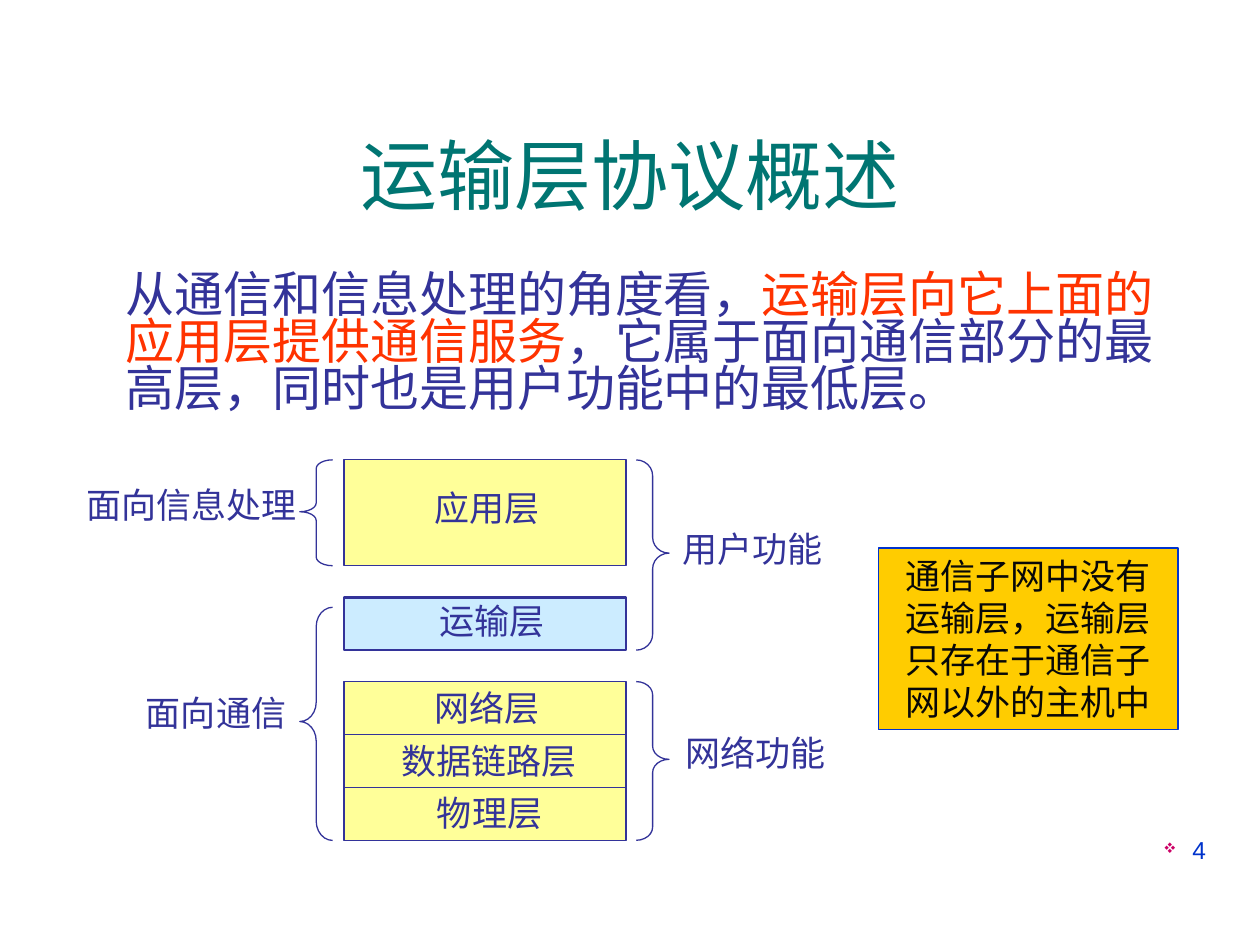
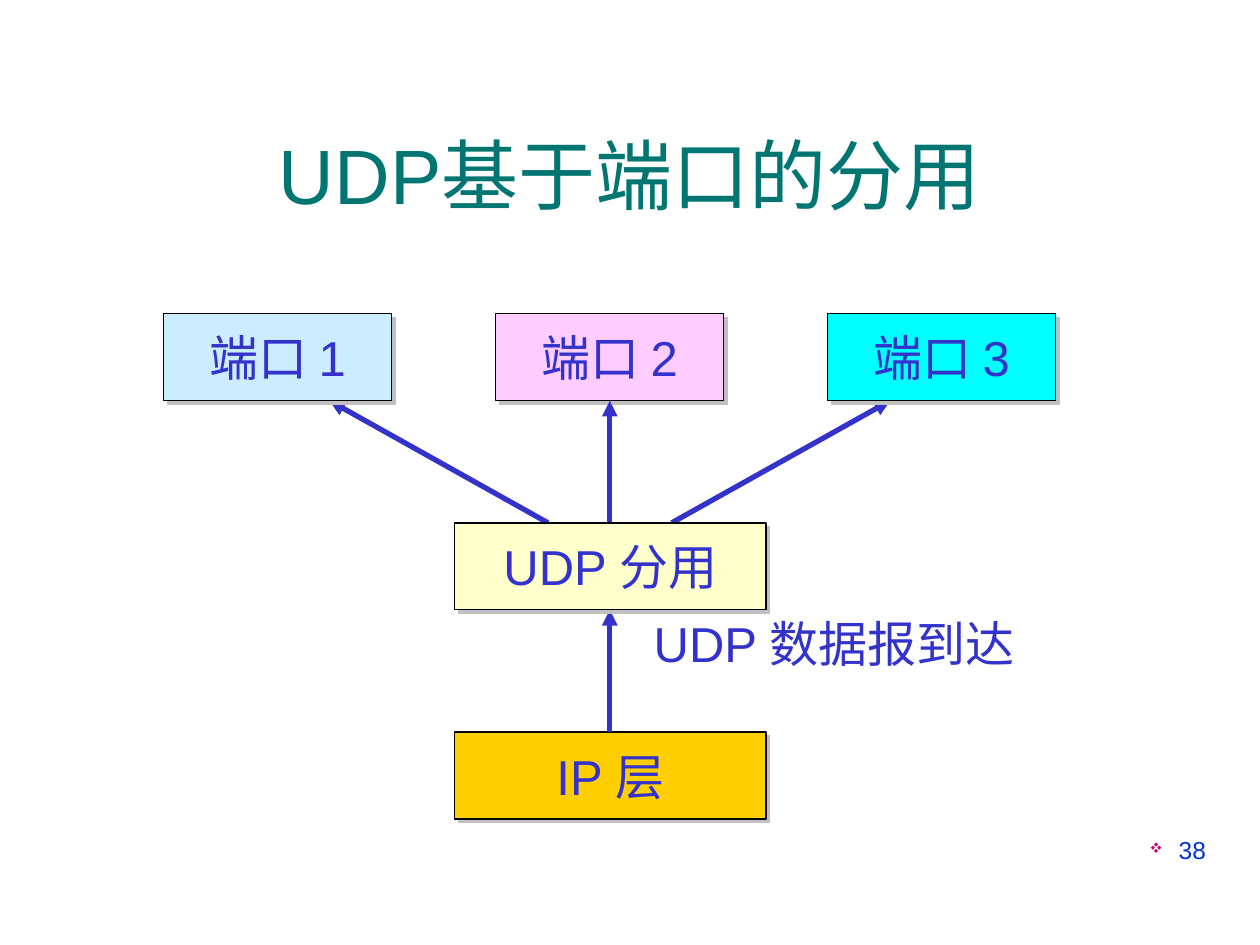
from lxml.etree import SubElement
from pptx import Presentation
from pptx.dml.color import RGBColor
from pptx.enum.shapes import MSO_CONNECTOR, MSO_SHAPE
from pptx.enum.text import MSO_ANCHOR, MSO_AUTO_SIZE, PP_ALIGN
from pptx.oxml.ns import qn
from pptx.util import Inches, Pt

# Shared palette
TEAL, INDIGO, VIOLET, BLUE = "007572", "333399", "3333CC", "0033CC"
RED, PINK, NEAR_BLACK, BLACK, GREY = "FF3300", "CC0066", "080808", "000000", "C0C0C0"
YELLOW, AMBER, GOLD, CREAM = "FFFF99", "FFCC00", "FFCF01", "FFFFCC"
SKY, ROSE, CYAN = "CCECFF", "FFCCFF", "00FFFF"

COLS, ROWS = 100, 75  # grid cells across and down the slide


def rgb(code):
    return RGBColor.from_string(code)


def child(parent, tag, **attrs):
    return SubElement(parent, qn(tag), {k: str(v) for k, v in attrs.items()})


def write(tf, text, size=20, color=INDIGO, font="Arial", align=PP_ALIGN.LEFT,
          anchor=MSO_ANCHOR.TOP, wrap=True, spacing=None):
    """Fill a text frame; text is a string or a list of (string, colour) runs."""
    tf.auto_size = MSO_AUTO_SIZE.NONE
    tf.word_wrap = wrap
    tf.vertical_anchor = anchor
    p = tf.paragraphs[0]
    p.alignment = align
    if spacing:
        p.line_spacing = spacing
    for part, tone in [(text, color)] if isinstance(text, str) else text:
        r = p.add_run()
        r.text = part
        r.font.size = Pt(size)
        r.font.name = font
        r.font.color.rgb = rgb(tone)
    return p


class Deck:
    """House style plus the slide being built; lengths are grid cells."""

    def __init__(self):
        self.prs = Presentation()
        self.prs.slide_width, self.prs.slide_height = Inches(10), Inches(7.5)
        self.s = None

    def at(self, x, y):
        return (round(self.prs.slide_width * x / COLS),
                round(self.prs.slide_height * y / ROWS))

    def new_slide(self, title, number):
        self.s = self.prs.slides.add_slide(self.prs.slide_layouts[5])
        sp = self.s.shapes.title
        sp.left, sp.top = self.at(3.3, 7.5)
        sp.width, sp.height = self.at(93.4, 12.5)
        write(sp.text_frame, title, size=44, color=TEAL,
              align=PP_ALIGN.CENTER, anchor=MSO_ANCHOR.MIDDLE)
        self.page_number(number)

    def page_number(self, number):
        p = self.text(71.7, 65.8, 25, 5.2, str(number), size=14, color=BLUE,
                      align=PP_ALIGN.RIGHT)
        pPr = p._p.get_or_add_pPr()
        pPr.set("marL", str(Inches(0.23)))
        pPr.set("indent", str(-Inches(0.23)))
        child(child(pPr, "a:buClr"), "a:srgbClr", val=PINK)
        child(pPr, "a:buSzPct", val=60000)
        child(pPr, "a:buFont", typeface="Wingdings")
        child(pPr, "a:buChar", char="v")

    def text(self, x, y, w, h, text, **fmt):
        sp = self.s.shapes.add_textbox(*self.at(x, y), *self.at(w, h))
        return write(sp.text_frame, text, **fmt)

    def shape(self, kind, x, y, w, h, fill=None, line=INDIGO, width=0.75):
        sp = self.s.shapes.add_shape(kind, *self.at(x, y), *self.at(w, h))
        sp.shadow.inherit = False
        if fill:
            sp.fill.solid()
            sp.fill.fore_color.rgb = rgb(fill)
        else:
            sp.fill.background()
        sp.line.color.rgb = rgb(line)
        sp.line.width = Pt(width)
        return sp

    def box(self, x, y, w, h, fill, text=None, line=INDIGO, width=0.75,
            shadow=False, **fmt):
        sp = self.shape(MSO_SHAPE.RECTANGLE, x, y, w, h, fill, line, width)
        if shadow:
            effects = sp._element.spPr.find(qn("a:effectLst"))
            drop = child(effects, "a:outerShdw", dist=Pt(2.8), dir=45 * 60000,
                         algn="ctr", rotWithShape=0)
            child(drop, "a:srgbClr", val=GREY)
        if text:
            write(sp.text_frame, text, align=PP_ALIGN.CENTER,
                  anchor=MSO_ANCHOR.MIDDLE, **fmt)

    def brace(self, kind, x, y, h):
        sp = self.shape(kind, x, y, 2.6, h)
        sp.adjustments[0] = 0.032 * h  # curl grows with the height
        sp.adjustments[1] = 0.49

    def line(self, start, end, color=INDIGO, width=0.75, arrow=False):
        c = self.s.shapes.add_connector(MSO_CONNECTOR.STRAIGHT,
                                        *self.at(*start), *self.at(*end))
        c.line.color.rgb = rgb(color)
        c.line.width = Pt(width)
        if arrow:
            child(c.line._get_or_add_ln(), "a:tailEnd", type="triangle")
        child(c._element.spPr, "a:effectLst")


def overview_slide(d):
    d.new_slide("运输层协议概述", 4)
    d.text(9, 17, 85, 16.5,
           [("从通信和信息处理的角度看，", INDIGO),
            ("运输层向它上面的应用层提供通信服务", RED),
            ("，它属于面向通信部分的最高层，同时也是用户功能中的最低层。", INDIGO)],
           size=28, font="Karla", anchor=MSO_ANCHOR.BOTTOM, spacing=0.8)

    # Layer stack: blocks of whole layers with equal gaps
    left, width, layer, gap = 27.3, 22.4, 4.2, 2.5
    app = 36.5
    transport = app + 2 * layer + gap
    network = transport + layer + gap
    bottom = network + 3 * layer
    d.box(left, app, width, 2 * layer, YELLOW)
    d.box(left, network, width, 3 * layer, YELLOW)
    for i in (1, 2):
        y = network + i * layer
        d.line((left, y), (left + width, y))
    d.box(left, transport, width, layer, SKY, width=1.5)

    # Braces on both sides of the stack
    for kind, x, top, end in [
            (MSO_SHAPE.RIGHT_BRACE, 50.5, app, transport + layer),
            (MSO_SHAPE.RIGHT_BRACE, 50.5, network, bottom),
            (MSO_SHAPE.LEFT_BRACE, 23.8, app, app + 2 * layer),
            (MSO_SHAPE.LEFT_BRACE, 23.8, transport + 0.8, bottom)]:
        d.brace(kind, x, top, end - top)

    # Labels
    for x, y, w, label in [
            (33.5, 38.1, 10.3, "应用层"), (33.9, 47.1, 10.4, "运输层"),
            (33.5, 54, 10.3, "网络层"), (30.9, 58.2, 15.9, "数据链路层"),
            (33.7, 62.3, 10.3, "物理层"), (5.9, 37.9, 18.7, "面向信息处理"),
            (10.6, 54.4, 13.1, "面向通信"), (53.2, 41.4, 13.1, "用户功能"),
            (53.4, 57.6, 13.1, "网络功能")]:
        d.text(x, y, w, 4.3, label, wrap=False)

    d.box(69.7, 43.5, 23.8, 14.4, AMBER,
          "通信子网中没有运输层，运输层只存在于通信子网以外的主机中",
          line=BLUE, color=NEAR_BLACK)


def demux_slide(d):
    d.new_slide("UDP基于端口的分用", 38)
    height, port_w, wide_w = 6.9, 18.1, 24.7
    port_y, udp_y, ip_y = 24.9, 41.5, 58.1
    wide_x, mid = 36.1, 48.4
    port_x = [13 + 26.35 * i for i in range(3)]

    def node(x, y, w, fill, label):
        d.box(x, y, w, height, fill, label, line=BLACK, shadow=True,
              size=28, color=VIOLET, wrap=False)

    # Nodes under the arrows
    node(wide_x, ip_y, wide_w, GOLD, "IP 层")
    node(port_x[1], port_y, port_w, ROSE, "端口 2")
    d.text(50.9, 48.2, 30.7, 5.7, "UDP 数据报到达", size=28, color=VIOLET)

    # Arrows: one up from IP, then a fan to the ports
    d.line((mid, ip_y), (mid, udp_y + height), VIOLET, 3, arrow=True)
    for side in (-1, 0, 1):
        d.line((mid + 4.9 * side, udp_y), (mid + 22.25 * side, port_y + height),
               VIOLET, 3, arrow=True)

    # Nodes over the arrows
    node(port_x[0], port_y, port_w, SKY, "端口 1")
    node(port_x[2], port_y, port_w, CYAN, "端口 3")
    node(wide_x, udp_y, wide_w, CREAM, "UDP 分用")


def main():
    d = Deck()
    overview_slide(d)
    demux_slide(d)
    d.prs.save("out.pptx")


if __name__ == "__main__":
    main()
